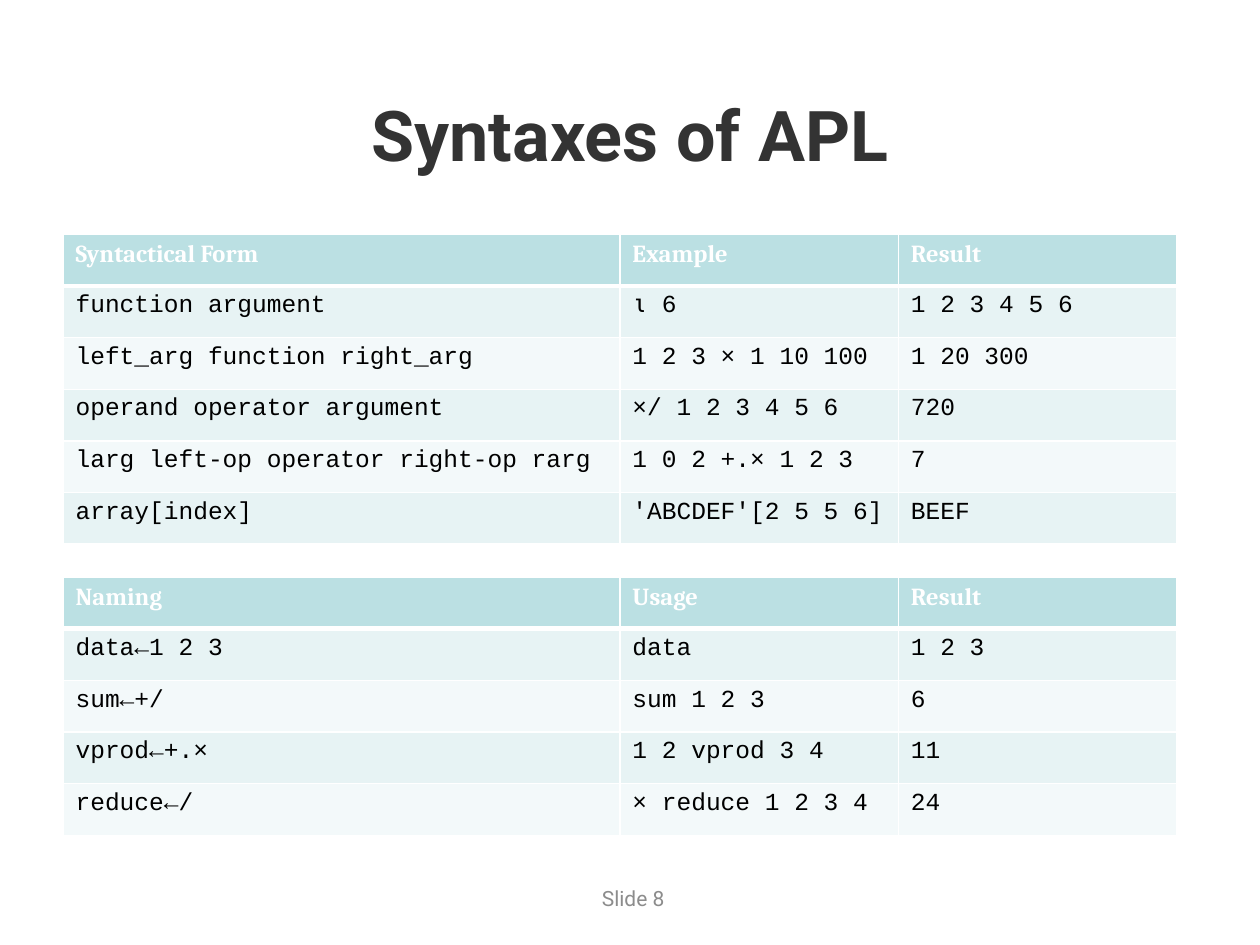
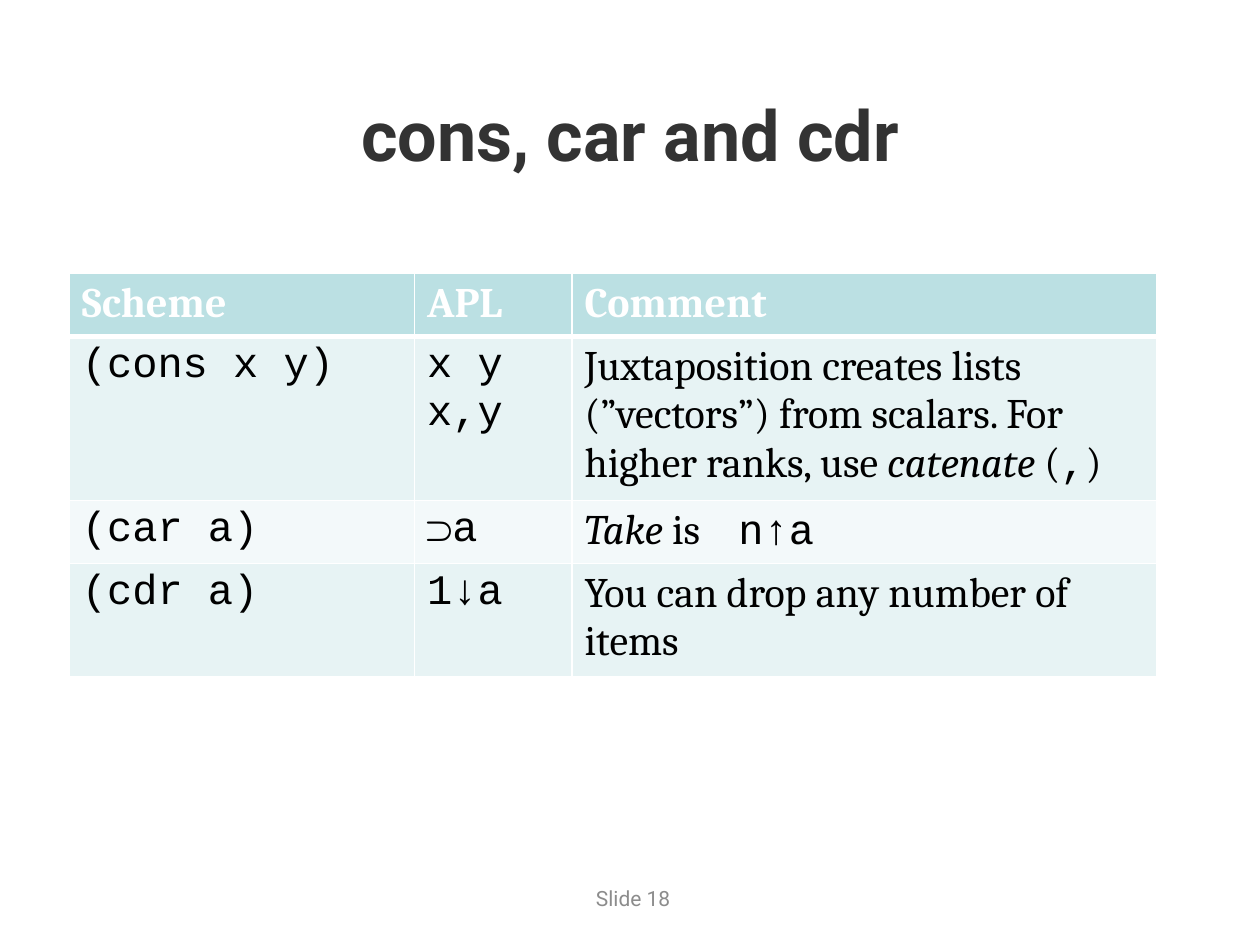
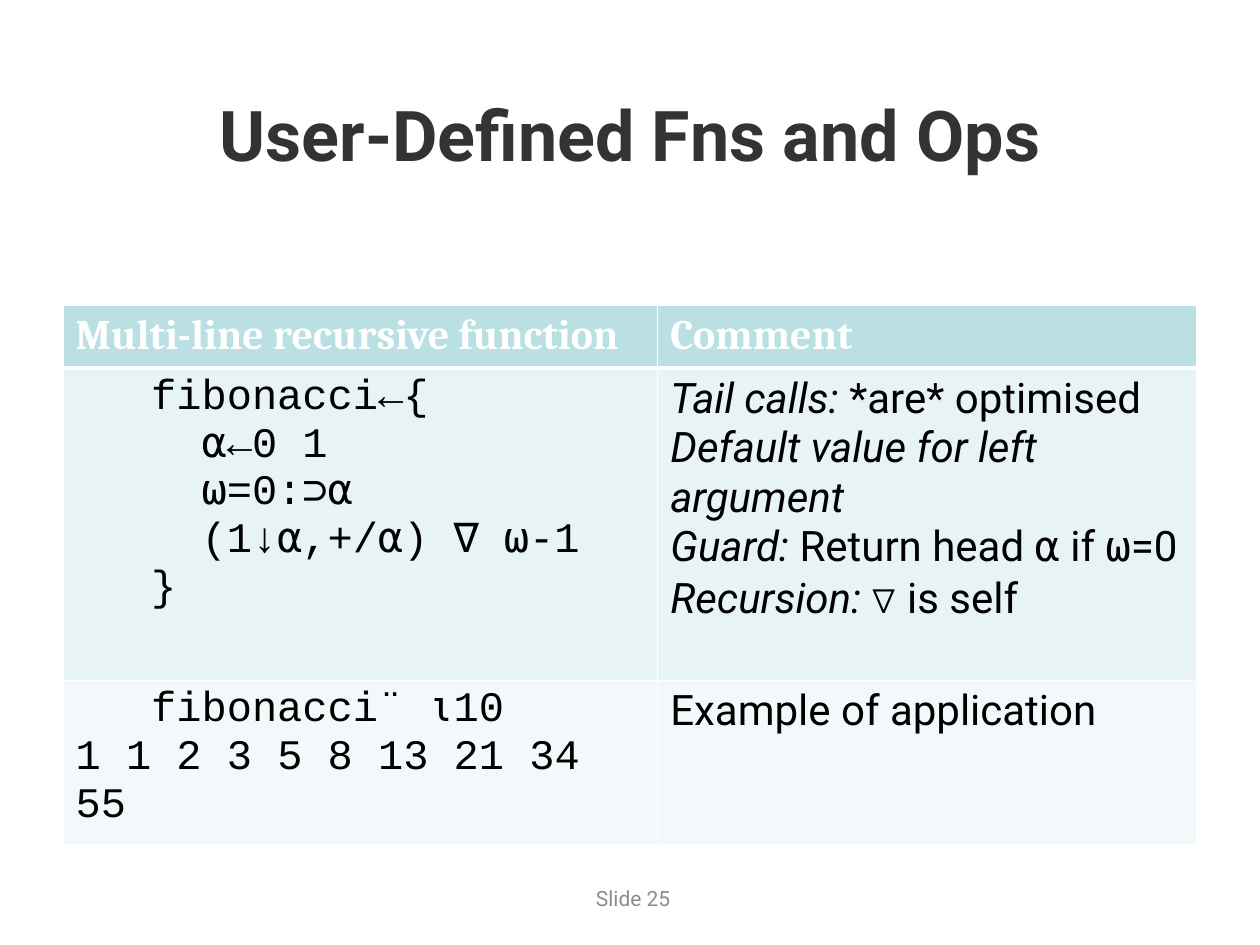
from dataclasses import dataclass

import pptx
import pptx.dml.color
import pptx.enum.text
import pptx.oxml
import pptx.oxml.ns
import pptx.util
from pptx.util import Inches


@dataclass(frozen=True)
class Theme:
    title_font: str = "Roboto"
    text_font: str = "Cambria"
    code_font: str = "Courier New"
    title_color: str = "333333"
    footer_color: str = "8C8C8C"
    header_text: str = "FFFFFF"
    body_text: str = "000000"
    border: str = "FFFFFF"
    header_fill: str = "BBE0E3"
    band_fills: tuple = ("E7F3F4", "F3F9FA")
    title_size: int = 40
    footer_size: int = 12
    small_size: int = 14
    large_size: int = 24


THEME = Theme()
PAGE_WIDTH, PAGE_HEIGHT = 10, 7.5


@dataclass
class Span:
    text: str
    font: str = THEME.code_font
    italic: bool = False


@dataclass
class Line:
    """One paragraph of a cell, with an optional indent or tab stop in inches."""
    spans: list
    indent: float = 0
    tab: float = 0


def code(text, indent=0):
    return Line([Span(text)], indent)


def prose(text, font=THEME.text_font):
    return Line([Span(text, font)])


# Text
def style_font(font, name=None, size=None, color=None, bold=None, italic=None):
    if name:
        font.name = name
    if size:
        font.size = pptx.util.Pt(size)
    if color:
        font.color.rgb = pptx.dml.color.RGBColor.from_string(color)
    if bold is not None:
        font.bold = bold
    if italic is not None:
        font.italic = italic


def add_label(page, text, left, top, width, height, anchor, **style):
    box = page.shapes.add_textbox(Inches(left), Inches(top), Inches(width), Inches(height))
    frame = box.text_frame
    frame.word_wrap = True
    frame.vertical_anchor = anchor
    para = frame.paragraphs[0]
    para.text = text
    para.alignment = pptx.enum.text.PP_ALIGN.CENTER
    style_font(para.font, **style)


def write_line(para, line, size, color, bold):
    looks = {(span.font, span.italic) for span in line.spans}
    style_font(para.font, size=size, color=color, bold=bold)
    if len(looks) == 1:
        name, italic = looks.pop()
        style_font(para.font, name=name, italic=italic)
        para.text = line.spans[0].text
    else:
        for span in line.spans:
            run = para.add_run()
            run.text = span.text
            style_font(run.font, name=span.font, italic=span.italic)
    properties = para._p.get_or_add_pPr()
    if line.indent:
        properties.set("marL", str(Inches(line.indent)))
        properties.set("indent", "0")
    if line.tab:
        stops = pptx.oxml.parse_xml(
            f'<a:tabLst {pptx.oxml.ns.nsdecls("a")}>'
            f'<a:tab pos="{Inches(line.tab)}" algn="l"/></a:tabLst>')
        properties.insert(0, stops)


# Tables
def set_borders(cell, **widths):
    properties = cell._tc.get_or_add_tcPr()
    for side in "LRTB":
        width = pptx.util.Pt(widths.get(side, 1))
        properties.append(pptx.oxml.parse_xml(
            f'<a:ln{side} {pptx.oxml.ns.nsdecls("a")} w="{width}"><a:solidFill>'
            f'<a:srgbClr val="{THEME.border}"/></a:solidFill></a:ln{side}>'))


def fill_cell(cell, lines, size, color, fill, bold):
    cell.fill.solid()
    cell.fill.fore_color.rgb = pptx.dml.color.RGBColor.from_string(fill)
    frame = cell.text_frame
    for index, line in enumerate(lines):
        para = frame.add_paragraph() if index else frame.paragraphs[0]
        write_line(para, line, size, color, bold)


def add_grid(page, left, top, widths, heights, size, headers, rows):
    """Plain strings in rows become code; a list holds the lines of a cell."""
    table = page.shapes.add_table(
        len(heights), len(widths), Inches(left), Inches(top),
        Inches(sum(widths)), Inches(sum(heights))).table
    for column, width in zip(table.columns, widths):
        column.width = Inches(width)
    for row, height in zip(table.rows, heights):
        row.height = Inches(height)
    for column, text in enumerate(headers):
        cell = table.cell(0, column)
        set_borders(cell, B=3)
        fill_cell(cell, [prose(text)], size, THEME.header_text, THEME.header_fill, True)
    for number, row in enumerate(rows, start=1):
        fill = THEME.band_fills[(number - 1) % 2]
        for column, content in enumerate(row):
            cell = table.cell(number, column)
            set_borders(cell, T=3 if number == 1 else 1)
            lines = [code(content)] if isinstance(content, str) else content
            fill_cell(cell, lines, size, THEME.body_text, fill, False)


# Pages
def add_page(deck, title, number, margin=0.83):
    page = deck.slides.add_slide(deck.slide_layouts[6])
    anchors = pptx.enum.text.MSO_ANCHOR
    add_label(page, title, margin, 0.68, PAGE_WIDTH - 2 * margin, 1.01, anchors.TOP,
              name=THEME.title_font, size=THEME.title_size,
              color=THEME.title_color, bold=True)
    add_label(page, f"Slide {number}", 3.9, 6.93, 2.25, 0.4, anchors.MIDDLE,
              name=THEME.footer_font if hasattr(THEME, "footer_font") else THEME.title_font,
              size=THEME.footer_size, color=THEME.footer_color)
    return page


def add_syntax_page(deck):
    page = add_page(deck, "Syntaxes of APL", 8)
    widths = [4.42, 2.21, 2.21]
    forms = [
        ("function argument", "⍳ 6", "1 2 3 4 5 6"),
        ("left_arg function right_arg", "1 2 3 × 1 10 100", "1 20 300"),
        ("operand operator argument", "×/ 1 2 3 4 5 6", "720"),
        ("larg left-op operator right-op rarg", "1 0 2 +.× 1 2 3", "7"),
        ("array[index]", "'ABCDEF'[2 5 5 6]", "BEEF"),
    ]
    names = [
        ("data←1 2 3", "data", "1 2 3"),
        ("sum←+/", "sum 1 2 3", "6"),
        ("vprod←+.×", "1 2 vprod 3 4", "11"),
        ("reduce←/", "× reduce 1 2 3 4", "24"),
    ]
    for top, headers, rows in (
            (1.86, ("Syntactical Form", "Example", "Result"), forms),
            (4.58, ("Naming", "Usage", "Result"), names)):
        heights = [0.41] * (len(rows) + 1)
        add_grid(page, 0.5, top, widths, heights, THEME.small_size, headers, rows)


def add_list_page(deck):
    page = add_page(deck, "cons, car and cdr", 18)
    serif = THEME.text_font
    juxtaposition = Line([
        Span("Juxtaposition creates lists (”vectors”) from scalars. For higher ranks, use ",
             serif),
        Span("catenate", serif, True), Span(" (", serif), Span(","), Span(")", serif)])
    take = Line([Span("Take", serif, True), Span(" is\t", serif), Span("n↑a")], tab=1.22)
    rows = [
        ("(cons x y)", [code("x y"), code("x,y")], [juxtaposition]),
        ("(car a)", "⊃a", [take]),
        ("(cdr a)", "1↓a", [prose("You can drop any number of items")]),
    ]
    add_grid(page, 0.55, 2.17, [2.74, 1.25, 4.64], [0.47, 1.27, 0.5, 0.86],
             THEME.large_size, ("Scheme", "APL", "Comment"), rows)


def add_function_page(deck):
    page = add_page(deck, "User-Defined Fns and Ops", 25, margin=0.25)
    sans = THEME.title_font
    definition = [code("fibonacci←{", 0.6), code("⍺←0 1", 1), code("⍵=0:⊃⍺", 1),
                  code("(1↓⍺,+/⍺) ∇ ⍵-1", 1), code("}", 0.6)]
    remarks = [
        Line([Span("Tail calls:", sans, True), Span(" *are* optimised", sans)]),
        Line([Span("Default value for left argument", sans, True)]),
        Line([Span("Guard:", sans, True), Span(" Return head ", sans), Span("⍺"),
              Span(" if ", sans), Span("⍵"), Span("=0", sans)]),
        Line([Span("Recursion: ", sans, True), Span("∇"), Span(" is self", sans)]),
    ]
    application = [code("fibonacci¨ ⍳10", 0.6), code("1 1 2 3 5 8 13 21 34 55")]
    rows = [(definition, remarks),
            (application, [prose("Example of application", sans)])]
    add_grid(page, 0.5, 2.42, [4.72, 4.28], [0.47, 2.48, 1.23], THEME.large_size,
             ("Multi-line recursive function", "Comment"), rows)


def main():
    deck = pptx.Presentation()
    deck.slide_width = Inches(PAGE_WIDTH)
    deck.slide_height = Inches(PAGE_HEIGHT)
    add_syntax_page(deck)
    add_list_page(deck)
    add_function_page(deck)
    deck.save("out.pptx")


if __name__ == "__main__":
    main()
